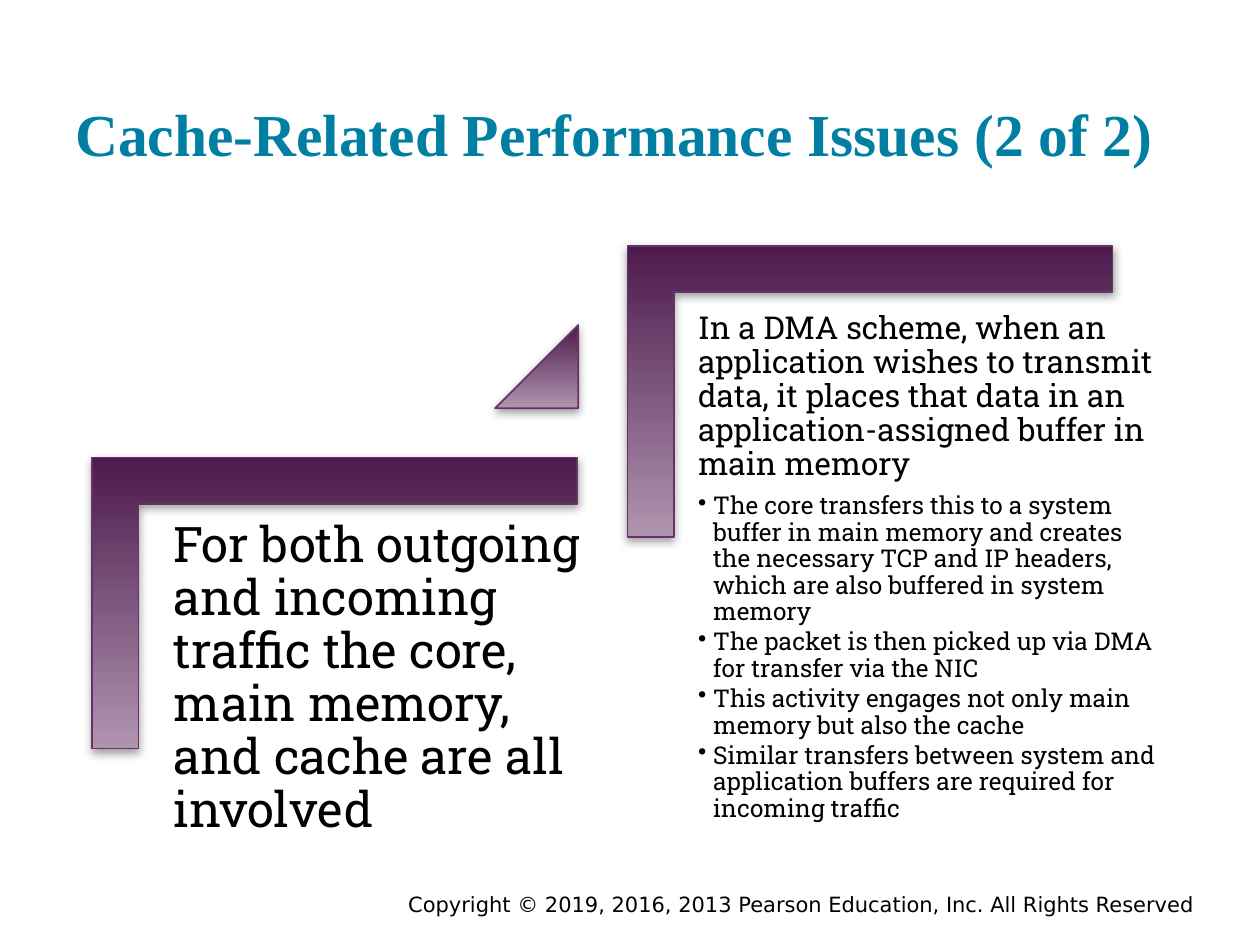
from dataclasses import dataclass

from lxml import etree
from pptx import Presentation
from pptx.dml.color import RGBColor
from pptx.enum.shapes import MSO_SHAPE as Shape
from pptx.enum.text import MSO_ANCHOR as Anchor, PP_ALIGN as Align
from pptx.oxml.ns import qn
from pptx.util import Inches, Pt


@dataclass(frozen=True)
class Theme:
    title_font: str = "Times New Roman"
    body_font: str = "Roboto Slab"
    footer_font: str = "DejaVu Sans"
    title_color: str = "007FA3"
    text_color: str = "000000"
    dark: str = "4D1A4D"
    light: str = "AF94AF"
    outline: str = "663366"
    shadow: str = "808080"
    title_size: int = 34
    statement_size: int = 28
    lead_size: int = 18
    bullet_size: int = 14
    footer_size: int = 12


class SlideBuilder:
    def __init__(self, page, theme):
        self.page = page
        self.theme = theme

    def text_box(self, area, inset, anchor=Anchor.TOP):
        frame = self.page.shapes.add_textbox(*map(Inches, area)).text_frame
        side, end = map(Inches, inset)
        settings = {
            "word_wrap": True, "vertical_anchor": anchor,
            "margin_left": side, "margin_right": side,
            "margin_top": end, "margin_bottom": end,
        }
        for name, value in settings.items():
            setattr(frame, name, value)
        return frame

    def paragraph(self, frame, text, font, size, color=None, bold=False,
                  bullet=False, **layout):
        para = frame.paragraphs[0]
        if para.runs:
            para = frame.add_paragraph()
        if bullet:
            props = para._p.get_or_add_pPr()
            props.set("marL", str(Inches(0.12)))
            props.set("indent", str(-Inches(0.12)))
            etree.SubElement(props, qn("a:buChar"), char="•")
        for name, value in layout.items():
            setattr(para, name, value)
        span = para.add_run()
        span.text = text
        for name, value in {"name": font, "size": Pt(size), "bold": bold}.items():
            setattr(span.font, name, value)
        span.font.color.rgb = RGBColor.from_string(color or self.theme.text_color)

    def accent(self, kind, area, adjustments, rotation=0):
        shape = self.page.shapes.add_shape(kind, *map(Inches, area))
        shape.rotation = rotation
        for index, value in enumerate(adjustments):
            shape.adjustments[index] = value
        shape.fill.gradient()
        shape.fill.gradient_angle = 270
        colors = (self.theme.dark, self.theme.light)
        for stop, color in zip(shape.fill.gradient_stops, colors):
            stop.color.rgb = RGBColor.from_string(color)
        shape.line.color.rgb = RGBColor.from_string(self.theme.outline)
        shape.line.width = Pt(1)
        # Keep the gradient vertical when the shape is turned
        shape._element.spPr.find(qn("a:gradFill")).set("rotWithShape", "0")
        self.add_shadow(shape)

    def add_shadow(self, shape):
        shape.shadow.inherit = False
        effects = shape._element.spPr.find(qn("a:effectLst"))
        shadow = etree.SubElement(
            effects, qn("a:outerShdw"), blurRad=str(Pt(5)), dist=str(Pt(2)),
            dir="5400000", rotWithShape="0")
        color = etree.SubElement(shadow, qn("a:srgbClr"), val=self.theme.shadow)
        etree.SubElement(color, qn("a:alpha"), val="75000")


def main():
    theme = Theme()
    deck = Presentation()
    deck.slide_width, deck.slide_height = Inches(10), Inches(7.5)
    builder = SlideBuilder(deck.slides.add_slide(deck.slide_layouts[6]), theme)

    # Footer and title
    footer = builder.text_box((1.75, 7.03, 7.83, 0.22), (0.1, 0.05))
    builder.paragraph(
        footer,
        "Copyright © 2019, 2016, 2013 Pearson Education, Inc. All Rights Reserved",
        theme.footer_font, theme.footer_size, alignment=Align.RIGHT)
    title = builder.text_box((0.5, 0.24, 9, 1.2), (0.1, 0.1), Anchor.BOTTOM)
    builder.paragraph(title, "Cache-Related Performance Issues (2 of 2)",
                      theme.title_font, theme.title_size, theme.title_color, bold=True)

    # Rising steps: two corners with a triangle between them
    for left, top in ((1.5, 2.86), (5.75, 1.18)):
        builder.accent(Shape.CORNER, (left, top, 2.31, 3.85), (0.16, 0.16), 90)
    builder.accent(Shape.ISOSCELES_TRIANGLE, (3.93, 2.58, 0.66, 0.66), (1,))

    # Lower step
    statement = builder.text_box((1.26, 4.01, 3.47, 3.04), (0.12, 0.12))
    builder.paragraph(
        statement,
        "For both outgoing and incoming traffic the core, main memory, "
        "and cache are all involved",
        theme.body_font, theme.statement_size, line_spacing=0.9)

    # Upper step
    scheme = builder.text_box((5.47, 2.41, 3.78, 4.3), (0.07, 0.07))
    builder.paragraph(
        scheme,
        "In a DMA scheme, when an application wishes to transmit data, it places "
        "that data in an application-assigned buffer in main memory",
        theme.body_font, theme.lead_size, line_spacing=0.9, space_after=Pt(6.3))
    bullets = (
        "The core transfers this to a system buffer in main memory and creates the "
        "necessary TCP and IP headers, which are also buffered in system memory",
        "The packet is then picked up via DMA for transfer via the NIC",
        "This activity engages not only main memory but also the cache",
        "Similar transfers between system and application buffers are required "
        "for incoming traffic",
    )
    for text in bullets:
        builder.paragraph(scheme, text, theme.body_font, theme.bullet_size, bullet=True,
                          level=1, line_spacing=0.9, space_after=Pt(2.1))

    deck.save("out.pptx")


if __name__ == "__main__":
    main()
